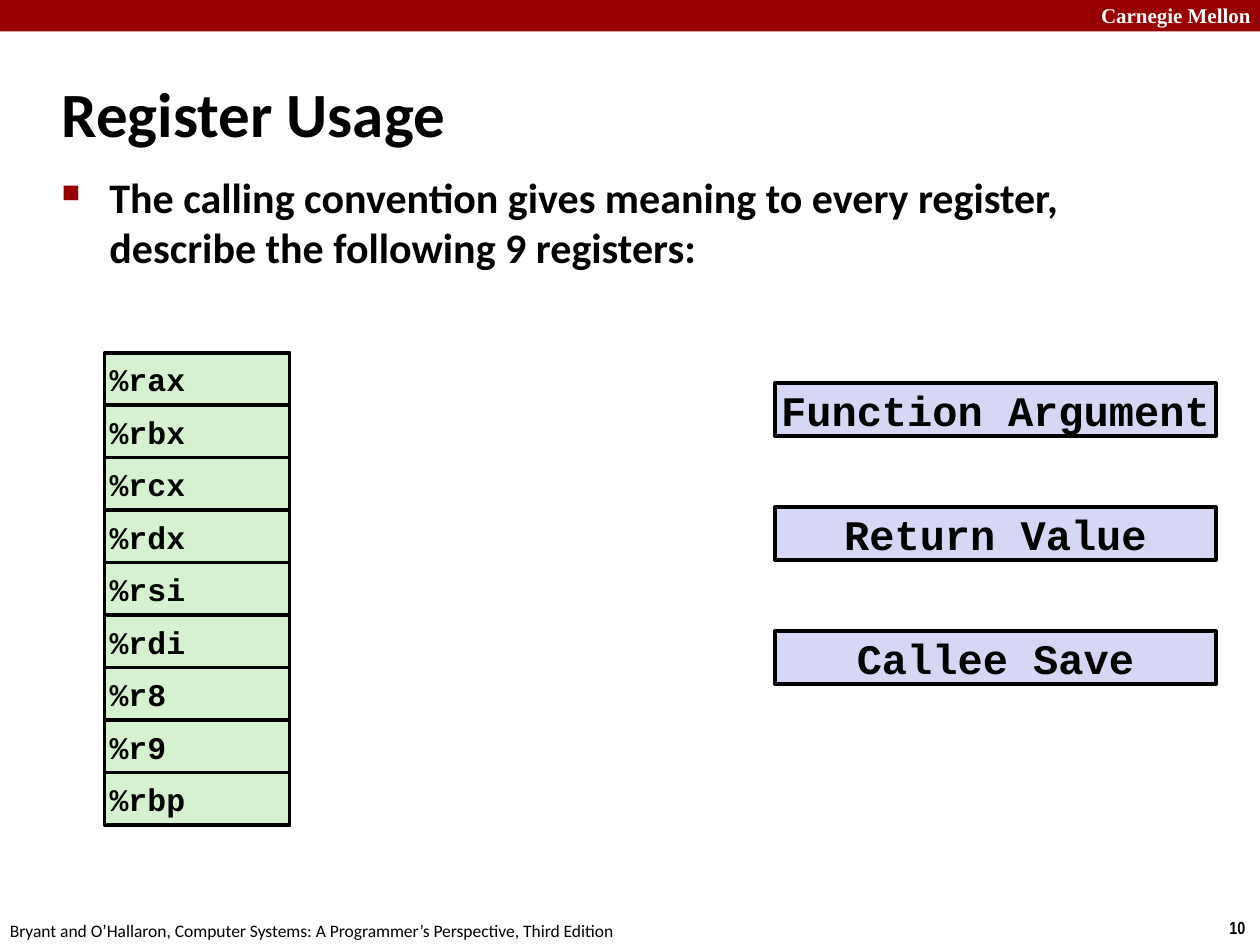
import pptx
import pptx.util
import pptx.dml.color
import pptx.enum.shapes
import pptx.enum.text
import pptx.oxml
import pptx.oxml.ns
from pptx.util import Inches

COLORS = {
    "black": "000000",
    "white": "FFFFFF",
    "red": "990000",
    "green": "D5F1CF",
    "lilac": "D6D6F5",
}
ALIGN = pptx.enum.text.PP_ALIGN
ANCHOR = pptx.enum.text.MSO_ANCHOR
REGS = ["%rax", "%rbx", "%rcx", "%rdx", "%rsi", "%rdi", "%r8", "%r9", "%rbp"]
ROLES = ["Function Argument", "Return Value", "Callee Save"]


def tint(name):
    return pptx.dml.color.RGBColor.from_string(COLORS[name])


def write(frame, text, size=10, face="Calibri", color="black", bold=True,
          align=ALIGN.LEFT, anchor=ANCHOR.TOP, wrap=True, inset=None):
    """Fill a text frame with one paragraph and return the paragraph."""
    frame.word_wrap = wrap
    frame.vertical_anchor = anchor
    if inset is not None:
        frame.margin_left = frame.margin_right = Inches(inset)
        frame.margin_top = frame.margin_bottom = Inches(inset)
    para = frame.paragraphs[0]
    para.text = text
    para.alignment = align
    for run in para.runs:
        run.font.size = pptx.util.Pt(size)
        run.font.name = face
        run.font.bold = bold
        run.font.color.rgb = tint(color)
    return para


class Deck:
    """Holds the house style and the current slide."""
    code = "Courier New"
    edge = pptx.util.Pt(2)

    def __init__(self, slide):
        self.slide = slide

    def box(self, left, top, width, height, fill, lined=True):
        shape = self.slide.shapes.add_shape(
            pptx.enum.shapes.MSO_SHAPE.RECTANGLE,
            Inches(left), Inches(top), Inches(width), Inches(height))
        shape.shadow.inherit = False
        shape.fill.solid()
        shape.fill.fore_color.rgb = tint(fill)
        if lined:
            shape.line.color.rgb = tint("black")
            shape.line.width = self.edge
        else:
            shape.line.fill.background()
        return shape

    def cell(self, text, left, top, width, fill, **style):
        shape = self.box(left, top, width, 0.42, fill)
        write(shape.text_frame, text, face=self.code,
              anchor=ANCHOR.MIDDLE, **style)

    def label(self, text, left, top, width, height, **style):
        shape = self.slide.shapes.add_textbox(
            Inches(left), Inches(top), Inches(width), Inches(height))
        return write(shape.text_frame, text, **style)

    def bullet(self, text, left, top, width, height, **style):
        """Add a text box with a small red square before its paragraph."""
        para = self.label(text, left, top, width, height, **style)
        props = para._p.get_or_add_pPr()
        props.set("marL", str(Inches(0.38)))
        props.set("indent", str(-Inches(0.38)))
        space = pptx.oxml.ns.nsdecls("a")
        for mark in (
            f'<a:buClr {space}><a:srgbClr val="{COLORS["red"]}"/></a:buClr>',
            f'<a:buSzPct {space} val="60000"/>',
            f'<a:buChar {space} char="■"/>',
        ):
            props.append(pptx.oxml.parse_xml(mark))


def main():
    show = pptx.Presentation()
    show.slide_width, show.slide_height = Inches(10), Inches(7.5)
    deck = Deck(show.slides.add_slide(show.slide_layouts[6]))

    deck.box(0, 0, 10, 0.25, "red", lined=False)
    deck.label("Carnegie Mellon", 8.64, -0.03, 1.43, 0.3,
               size=12, face="Times New Roman", color="white")
    deck.label("10", 9.66, 7.23, 0.34, 0.27, face="Arial Narrow", wrap=False)
    deck.label("Bryant and O’Hallaron, Computer Systems: "
               "A Programmer’s Perspective, Third Edition",
               -0.02, 7.25, 5.08, 0.27, bold=False, wrap=False)
    deck.label("Register Usage", 0.39, 0.48, 8.3, 0.83,
               size=36, anchor=ANCHOR.MIDDLE)
    deck.bullet("The calling convention gives meaning to every register,\v"
                "describe the following 9 registers:",
                0.39, 1.31, 8.64, 5.44, size=24)

    step = (6.13 - 2.8) / (len(REGS) - 1)
    for row, reg in enumerate(REGS):
        deck.cell(reg, 0.83, 2.8 + row * step, 1.47, "green",
                  size=18, inset=0.04)
    for row, role in enumerate(ROLES):
        deck.cell(role, 6.15, 3.04 + row * 0.985, 3.5, "lilac",
                  size=24, inset=0, align=ALIGN.CENTER)

    show.save("out.pptx")


if __name__ == "__main__":
    main()
